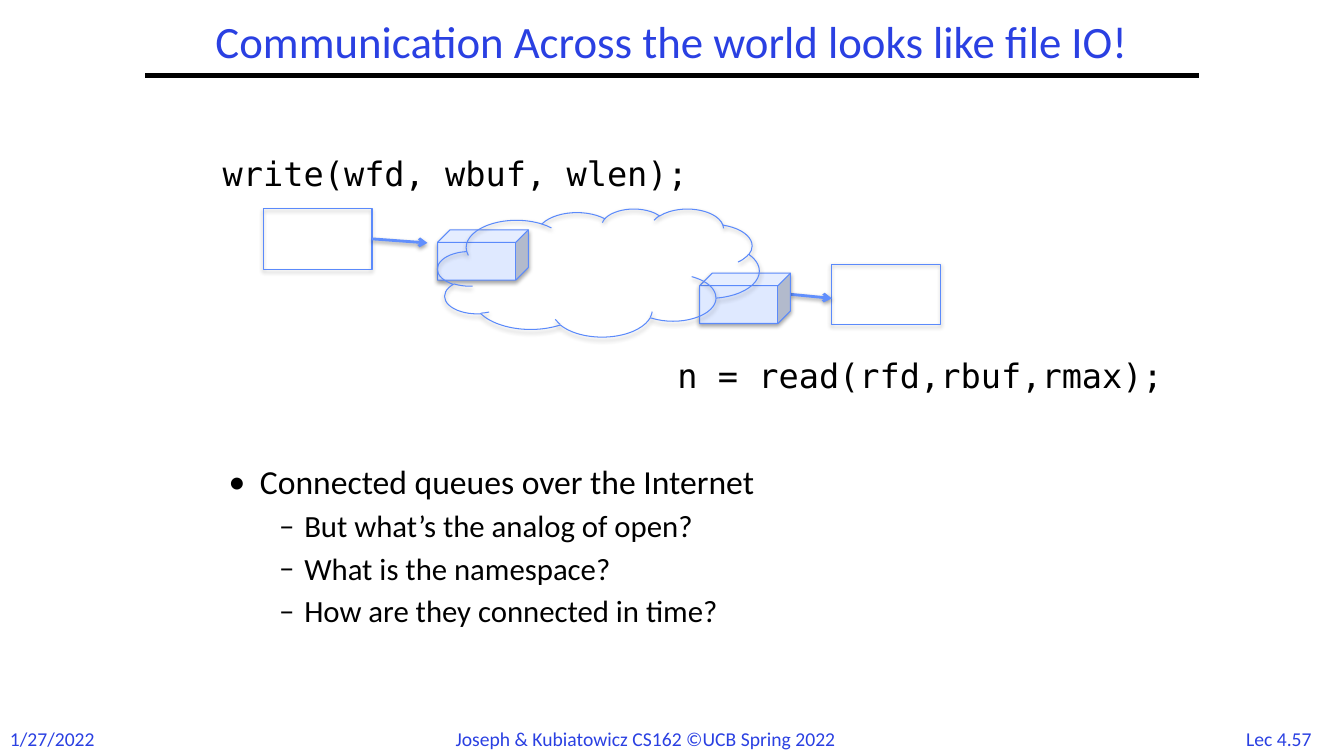
from lxml.etree import SubElement
from pptx import Presentation
from pptx.dml.color import RGBColor
from pptx.enum.shapes import MSO_CONNECTOR as Connector, MSO_SHAPE as Shape
from pptx.enum.text import MSO_ANCHOR as Anchor, PP_ALIGN as Align
from pptx.oxml.ns import qn
from pptx.util import Inches, Pt

BLACK = RGBColor(0x00, 0x00, 0x00)
TITLE_BLUE = RGBColor(0x2A, 0x40, 0xE2)
OUTLINE_BLUE = RGBColor(0x5B, 0x8A, 0xFB)
ARROW_BLUE = RGBColor(0x61, 0x8F, 0xFD)
PALE_BLUE = RGBColor(0xDF, 0xE9, 0xFF)

TITLE = {"name": "Calibri", "size": Pt(32), "color": TITLE_BLUE}
FOOTER = {"name": "Calibri", "size": Pt(14), "color": TITLE_BLUE}
CODE = {"name": "DejaVu Sans Mono", "size": Pt(24), "color": BLACK}
BULLET = {"name": "Calibri", "size": Pt(24), "color": BLACK}
DASH = {**BULLET, "size": Pt(22)}

# Marker, left margin, hanging indent and font of each list level
LEVELS = [("•", 0.31, -0.31, BULLET), ("–", 0.75, -0.25, DASH)]
QUESTIONS = [
    (0, "Connected queues over the Internet"),
    (1, "But what’s the analog of open?"),
    (1, "What is the namespace?"),
    (1, "How are they connected in time?"),
]
FOOTERS = [
    ("1/27/2022", 0, 1.07, Align.LEFT),
    ("Joseph & Kubiatowicz CS162 ©UCB Spring 2022", 4.42, 4.5, Align.LEFT),
    ("Lec 4.57", 12.2, 0.97, Align.CENTER),
]


def set_font(font, style):
    for key, value in style.items():
        if key == "color":
            font.color.rgb = value
        else:
            setattr(font, key, value)


def add_box(page, left, top, width, height, wrap=True, anchor=Anchor.TOP):
    box = page.shapes.add_textbox(*map(Inches, (left, top, width, height)))
    frame = box.text_frame
    frame.word_wrap = wrap
    frame.vertical_anchor = anchor
    return frame


def write(para, text, style, **layout):
    for key, value in layout.items():
        setattr(para, key, value)
    span = para.add_run()
    span.text = text
    set_font(span.font, style)


def add_bullet(para, level):
    marker, margin, indent, style = LEVELS[level]
    properties = para._p.get_or_add_pPr()
    properties.set("marL", str(Inches(margin)))
    properties.set("indent", str(Inches(indent)))
    SubElement(properties, qn("a:buFont"), typeface="Calibri")
    SubElement(properties, qn("a:buChar"), char=marker)
    return style


def add_shadow(shape, distance, percent):
    effects = SubElement(shape._element.spPr, qn("a:effectLst"))
    shadow = SubElement(effects, qn("a:outerShdw"), blurRad=str(Pt(3.1)),
                        dist=str(Pt(distance)), dir="5400000", rotWithShape="0")
    color = SubElement(shadow, qn("a:srgbClr"), val=str(BLACK))
    SubElement(color, qn("a:alpha"), val=str(percent * 1000))


def add_figure(page, kind, left, top, width, height, fill=None):
    figure = page.shapes.add_shape(kind, *map(Inches, (left, top, width, height)))
    if fill is None:
        figure.fill.background()
    else:
        figure.fill.solid()
        figure.fill.fore_color.rgb = fill
    figure.line.color.rgb = OUTLINE_BLUE
    figure.line.width = Pt(0.75)
    add_shadow(figure, 1.8, 35)
    return figure


def add_line(page, start, end, color, width):
    line = page.shapes.add_connector(Connector.STRAIGHT, *map(Inches, start + end))
    line.line.color.rgb = color
    line.line.width = Pt(width)
    return line


def add_arrow(page, start, end):
    arrow = add_line(page, start, end, ARROW_BLUE, 2)
    SubElement(arrow.line._get_or_add_ln(), qn("a:tailEnd"), type="arrow")
    add_shadow(arrow, 1.6, 38)
    return arrow


def add_questions(page):
    frame = add_box(page, 2.17, 4.57, 9, 2.32)
    for index, (level, text) in enumerate(QUESTIONS):
        para = frame.add_paragraph() if index else frame.paragraphs[0]
        style = add_bullet(para, level)
        before = style["size"].pt * 0.3 if index else 0
        write(para, text, style, level=level, line_spacing=0.9,
              space_before=Pt(before))


def add_network(page):
    # Sender, receiver and the two network ends
    add_figure(page, Shape.CUBE, 4.34, 2.28, 0.9, 0.5, PALE_BLUE)
    sender = add_figure(page, Shape.RECTANGLE, 2.61, 2.07, 1.08, 0.6)
    add_arrow(page, (3.69, 2.37), (4.24, 2.41)).begin_connect(sender, 3)
    add_figure(page, Shape.RECTANGLE, 8.25, 2.62, 1.08, 0.6)
    add_arrow(page, (7.84, 2.92), (8.25, 2.96))
    add_figure(page, Shape.CUBE, 6.94, 2.71, 0.9, 0.5, PALE_BLUE)
    # Internet cloud in front
    add_figure(page, Shape.CLOUD, 4.34, 2.07, 3.19, 1.27)


def main():
    deck = Presentation()
    deck.slide_width, deck.slide_height = Inches(13.33), Inches(7.5)
    page = deck.slides.add_slide(deck.slide_layouts[6])

    # Footer
    for text, left, width, alignment in FOOTERS:
        frame = add_box(page, left, 7.16, width, 0.34, wrap=False)
        write(frame.paragraphs[0], text, FOOTER, alignment=alignment)

    # Title and its rule
    rule = add_line(page, (1.44, 0.75), (11.89, 0.75), BLACK, 3)
    SubElement(rule._element.spPr, qn("a:effectLst"))
    title = add_box(page, 1, 0.13, 11.33, 0.62, anchor=Anchor.MIDDLE)
    write(title.paragraphs[0], "Communication Across the world looks like file IO!",
          TITLE, alignment=Align.CENTER, line_spacing=0.9)

    # Questions, calls and network
    add_questions(page)
    for text, left, top, width in [("write(wfd, wbuf, wlen);", 2.11, 1.47, 5.11),
                                   ("n = read(rfd,rbuf,rmax);", 6.62, 3.47, 5.05)]:
        write(add_box(page, left, top, width, 0.5).paragraphs[0], text, CODE)
    add_network(page)

    deck.save("out.pptx")


if __name__ == "__main__":
    main()
